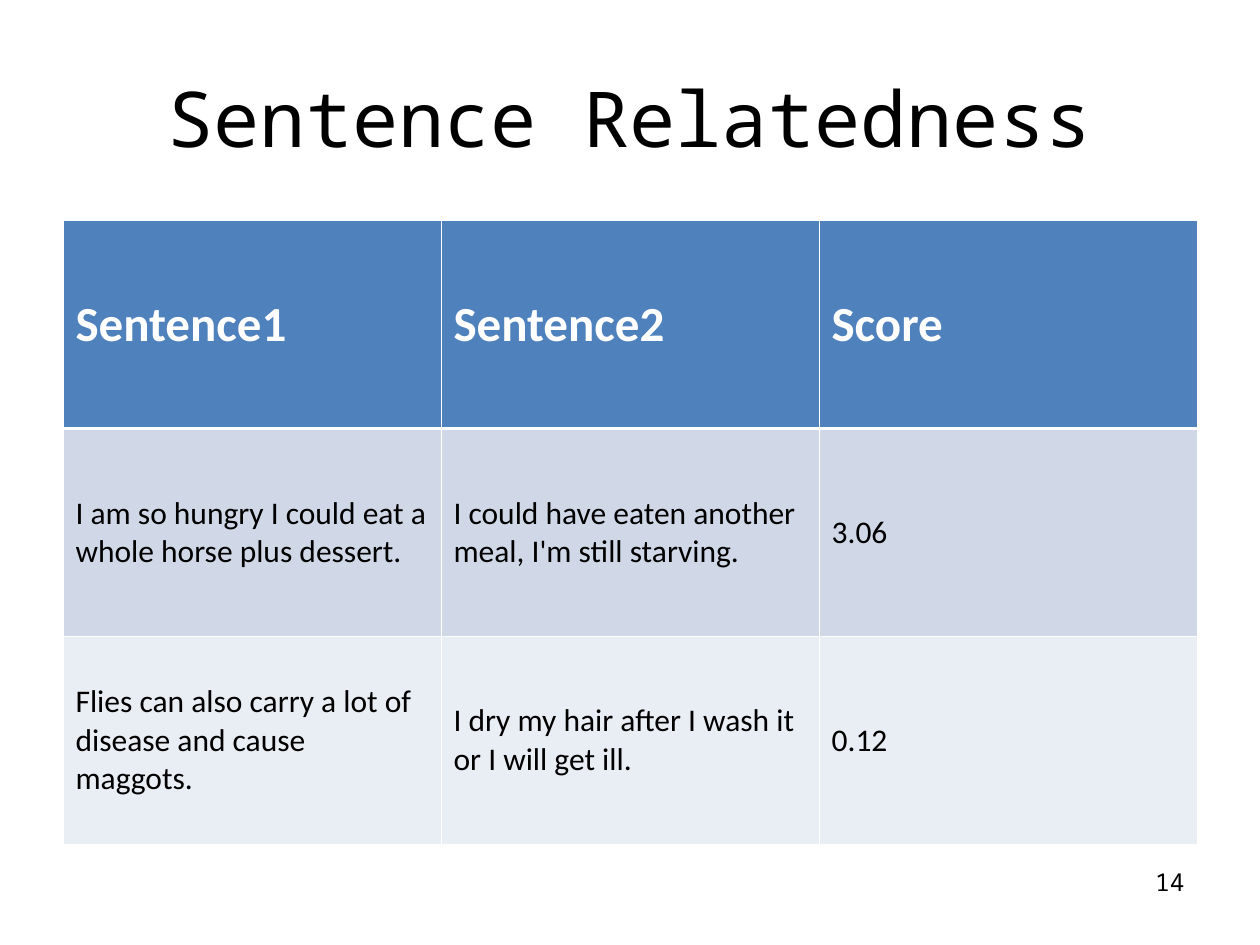
"""Build the Sentence Relatedness slide with its table of scored sentence pairs."""
from lxml import etree
from pptx import Presentation
from pptx.dml.color import RGBColor
from pptx.enum.text import MSO_ANCHOR, PP_ALIGN
from pptx.oxml.ns import qn
from pptx.util import Cm, Pt

MIDDLE, TOP = MSO_ANCHOR.MIDDLE, MSO_ANCHOR.TOP
CENTER, LEFT, RIGHT = PP_ALIGN.CENTER, PP_ALIGN.LEFT, PP_ALIGN.RIGHT
BLACK = RGBColor(0x00, 0x00, 0x00)
WHITE = RGBColor(0xFF, 0xFF, 0xFF)
BLUE = RGBColor(0x4F, 0x81, 0xBD)
BAND = RGBColor(0xD0, 0xD8, 0xE8)
PALE = RGBColor(0xE9, 0xED, 0xF4)
MONO, SANS = "Noto Sans Mono", "Calibri"
THIN, THICK = Pt(0.45), Pt(1.47)


def write(frame, text, color, align, anchor, **font_format):
    frame.word_wrap = True
    frame.vertical_anchor = anchor
    paragraph = frame.paragraphs[0]
    paragraph.alignment = align
    run = paragraph.add_run()
    run.text = text
    run.font.color.rgb = color
    for key, value in font_format.items():
        setattr(run.font, key, value)


def add_border(cell, side, width):
    line = etree.SubElement(cell._tc.get_or_add_tcPr(), qn(f"a:ln{side}"), w=str(width))
    fill = etree.SubElement(line, qn("a:solidFill"))
    etree.SubElement(fill, qn("a:srgbClr"), val=str(WHITE))


prs = Presentation()
prs.slide_width, prs.slide_height = Cm(25.4), Cm(19.05)
slide = prs.slides.add_slide(prs.slide_layouts[5])

title = slide.shapes.title
title.left, title.top, title.width, title.height = Cm(1.27), Cm(0.76), Cm(22.86), Cm(3.18)
write(title.text_frame, "Sentence Relatedness", BLACK, CENTER, MIDDLE, size=Pt(44), name=MONO)

pairs = [
    ("Sentence1", "Sentence2", "Score"),
    ("I am so hungry I could eat a whole horse plus dessert.",
     "I could have eaten another meal, I'm still starving.", "3.06"),
    ("Flies can also carry a lot of disease and cause maggots.",
     "I dry my hair after I wash it or I will get ill.", "0.12"),
]
header_font = {"size": Pt(28), "bold": True, "name": SANS}
body_font = {"size": Pt(18), "bold": False, "name": SANS}
row_styles = [
    (BLUE, WHITE, header_font, THIN, THICK),
    (BAND, BLACK, body_font, THICK, THIN),
    (PALE, BLACK, body_font, THIN, THIN),
]
scores = slide.shapes.add_table(3, 3, Cm(1.27), Cm(4.45), Cm(22.86), Cm(12.57)).table
for row, (texts, style) in enumerate(zip(pairs, row_styles)):
    background, ink, font_format, upper, lower = style
    for column, text in enumerate(texts):
        cell = scores.cell(row, column)
        cell.vertical_anchor = MIDDLE
        for side, width in {"L": THIN, "R": THIN, "T": upper, "B": lower}.items():
            add_border(cell, side, width)
        cell.fill.solid()
        cell.fill.fore_color.rgb = background
        write(cell.text_frame, text, ink, LEFT, MIDDLE, **font_format)

page_number = slide.shapes.add_textbox(Cm(18.21), Cm(17.35), Cm(5.92), Cm(1.32))
write(page_number.text_frame, "14", BLACK, RIGHT, TOP, size=Pt(14), name=MONO)

prs.save("out.pptx")
